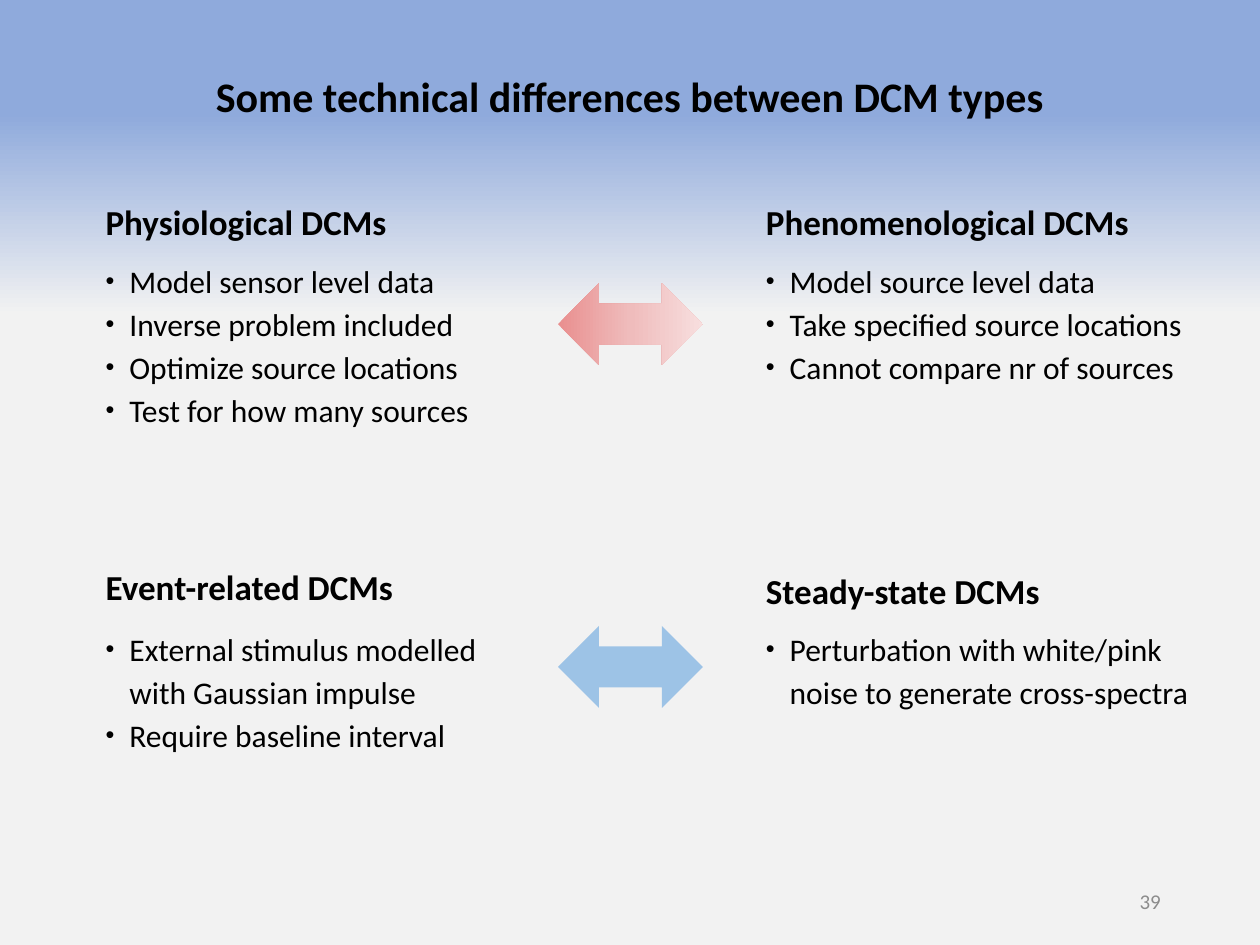
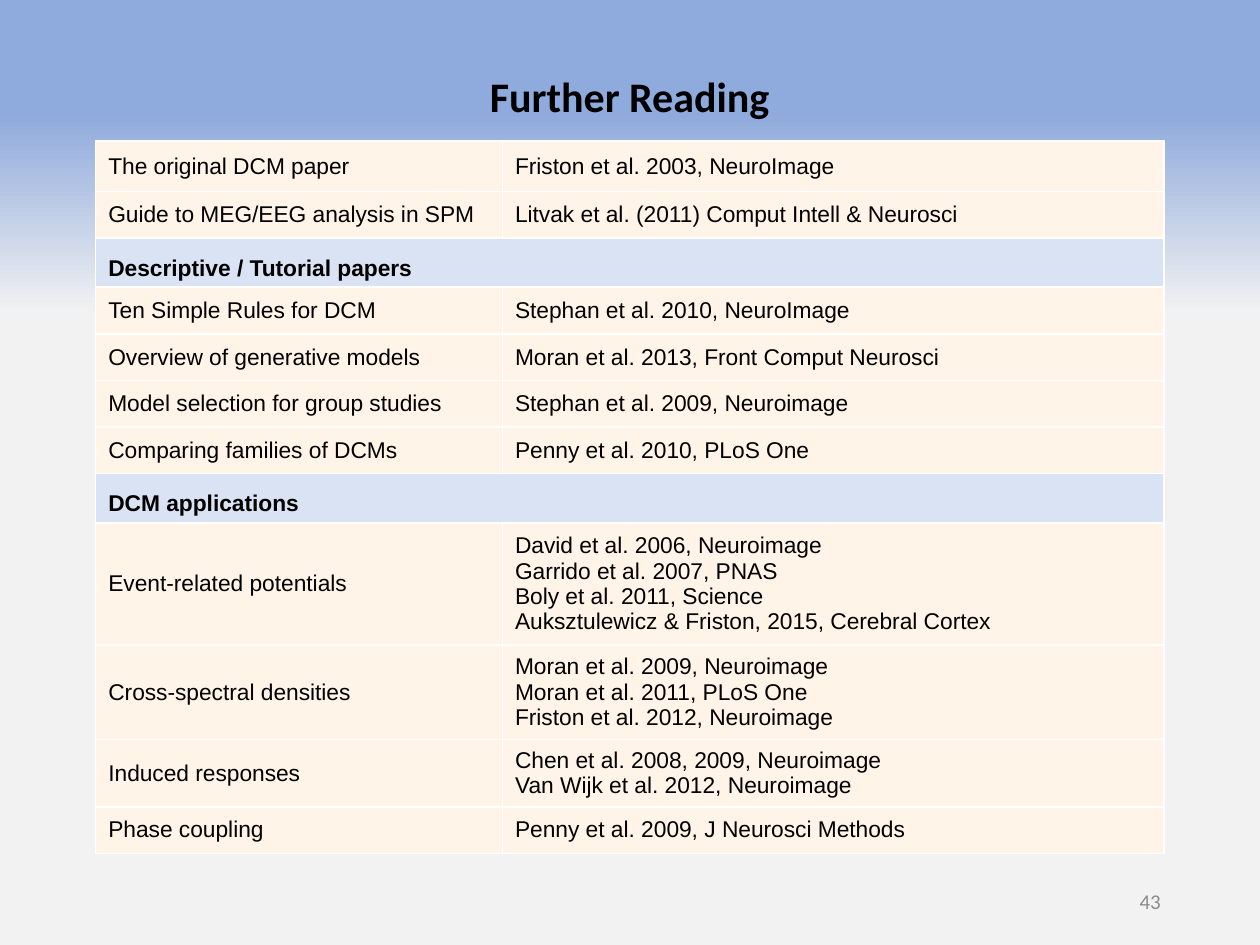
from copy import deepcopy

from pptx import Presentation
from pptx.dml.color import RGBColor
from pptx.enum.shapes import MSO_SHAPE as Preset
from pptx.enum.text import MSO_ANCHOR as Anchor, MSO_AUTO_SIZE as AutoSize, PP_ALIGN as Align
from pptx.oxml import parse_xml
from pptx.oxml.ns import nsdecls, qn
from pptx.util import Cm, Pt

# Colours
BLACK = RGBColor(0x00, 0x00, 0x00)
GREY = RGBColor(0x8C, 0x8C, 0x8C)
PAGE = RGBColor(0xF2, 0xF2, 0xF2)
BAND_BLUE = RGBColor(0x8F, 0xAA, 0xDC)
ARROW_BLUE = RGBColor(0x9D, 0xC3, 0xE6)
RED = RGBColor(0xE9, 0x8F, 0x8F)
PINK = RGBColor(0xEF, 0xBC, 0xBC)
PALE_PINK = RGBColor(0xF7, 0xDE, 0xDE)
CREAM = RGBColor(0xFF, 0xF4, 0xE7)
PALE_BLUE = RGBColor(0xDA, 0xE3, 0xF3)

# Text formats
TITLE = dict(name="Calibri", size=Pt(24), bold=True)
HEADING = dict(name="Calibri", size=Pt(20), bold=True)
BODY = dict(name="Calibri", size=Pt(18), bold=False)
NUMBER = dict(name="Calibri", size=Pt(12), bold=False)
CELL = dict(name="Arial", size=Pt(13), bold=False)
SECTION = dict(CELL, bold=True)

SLIDE_WIDTH, SLIDE_HEIGHT = Cm(25.4), Cm(19.05)
LEFT_COLUMN, RIGHT_COLUMN = 1.88, 15.19
BULLET_INDENT = Cm(0.48)

# Each group: heading, left, heading top, list top, list width, items
GROUPS = [
    ("Physiological DCMs", LEFT_COLUMN, 3.91, 5.05, 9.19,
     ["Model sensor level data", "Inverse problem included",
      "Optimize source locations", "Test for how many sources"]),
    ("Phenomenological DCMs", RIGHT_COLUMN, 3.91, 5.05, 10.11,
     ["Model source level data", "Take specified source locations",
      "Cannot compare nr of sources"]),
    ("Event-related DCMs", LEFT_COLUMN, 11.28, 12.47, 9.19,
     ["External stimulus modelled with Gaussian impulse",
      "Require baseline interval"]),
    ("Steady-state DCMs", RIGHT_COLUMN, 11.35, 12.47, 9.6,
     ["Perturbation with white/pink noise to generate cross-spectra"]),
]

# Each row: topic and its papers; a row without papers is a section heading
READING = [
    ("The original DCM paper", ["Friston et al. 2003, NeuroImage"]),
    ("Guide to MEG/EEG analysis in SPM",
     ["Litvak et al. (2011) Comput Intell & Neurosci"]),
    ("Descriptive / Tutorial papers", []),
    ("Ten Simple Rules for DCM", ["Stephan et al. 2010, NeuroImage"]),
    ("Overview of generative models", ["Moran et al. 2013, Front Comput Neurosci"]),
    ("Model selection for group studies", ["Stephan et al. 2009, Neuroimage"]),
    ("Comparing families of DCMs", ["Penny et al. 2010, PLoS One"]),
    ("DCM applications", []),
    ("Event-related potentials",
     ["David et al. 2006, Neuroimage", "Garrido et al. 2007, PNAS",
      "Boly et al. 2011, Science",
      "Auksztulewicz & Friston, 2015, Cerebral Cortex"]),
    ("Cross-spectral densities",
     ["Moran et al. 2009, Neuroimage", "Moran et al. 2011, PLoS One",
      "Friston et al. 2012, Neuroimage"]),
    ("Induced responses",
     ["Chen et al. 2008, 2009, Neuroimage", "Van Wijk et al. 2012, Neuroimage"]),
    ("Phase coupling", ["Penny et al. 2009, J Neurosci Methods"]),
]
COLUMN_WIDTHS = [8.2, 13.34]
FIRST_ROW, SECTION_ROW, PLAIN_ROW = 1.02, 0.99, 0.94
LINE_HEIGHT, CELL_PADDING = 0.53, 0.25


def format_paragraph(paragraph, font_format, color=BLACK):
    for attribute, value in font_format.items():
        setattr(paragraph.font, attribute, value)
    paragraph.font.color.rgb = color


def fill_gradient(shape, stops, angle):
    """Fill with (position, colour) stops."""
    shape.fill.gradient()
    stop_list = shape._element.spPr.find(".//" + qn("a:gsLst"))
    for _ in stops[2:]:
        stop_list.append(deepcopy(stop_list[0]))
    for stop, (position, color) in zip(shape.fill.gradient_stops, stops):
        stop.position = position
        stop.color.rgb = color
    shape.fill.gradient_angle = angle


def add_preset(slide, preset, left, top, width, height):
    shape = slide.shapes.add_shape(preset, left, top, width, height)
    shape.shadow.inherit = False
    shape.line.fill.background()
    return shape


def add_arrow(slide, top):
    return add_preset(slide, Preset.LEFT_RIGHT_ARROW,
                      Cm(11.25), Cm(top), Cm(2.92), Cm(1.65))


def add_text(slide, left, top, width, height, lines, font_format, color=BLACK, bullets=False):
    box = slide.shapes.add_textbox(Cm(left), Cm(top), Cm(width), Cm(height))
    frame = box.text_frame
    frame.word_wrap = True
    frame.text = "\n".join(lines)
    for paragraph in frame.paragraphs:
        if bullets:
            add_bullet(paragraph)
        format_paragraph(paragraph, font_format, color)
    return frame


def add_bullet(paragraph):
    paragraph.line_spacing = 1.14
    properties = paragraph._p.get_or_add_pPr()
    properties.set("marL", str(BULLET_INDENT))
    properties.set("indent", str(-BULLET_INDENT))
    for tag, attribute, value in [("buSzPct", "val", "80000"),
                                  ("buFont", "typeface", "Arial"),
                                  ("buChar", "char", "•")]:
        properties.append(parse_xml(f'<a:{tag} {nsdecls("a")} {attribute}="{value}"/>'))


def add_titled_slide(presentation, title_text, number):
    slide = presentation.slides.add_slide(presentation.slide_layouts[5])

    # Shaded band behind everything else
    band = add_preset(slide, Preset.RECTANGLE, 0, 0, SLIDE_WIDTH, Cm(6.35))
    fill_gradient(band, [(0.36, BAND_BLUE), (1, PAGE)], 270)
    slide.shapes._spTree.insert(2, band._element)

    # Title
    title = slide.shapes.title
    title.left, title.top, title.width, title.height = Cm(0.91), Cm(0.99), Cm(23.57), Cm(2.01)
    frame = title.text_frame
    frame.text = title_text
    frame.auto_size = AutoSize.NONE
    frame.vertical_anchor = Anchor.MIDDLE
    paragraph = frame.paragraphs[0]
    paragraph.alignment = Align.CENTER
    paragraph.line_spacing = 0.9
    format_paragraph(paragraph, TITLE)

    # Slide number
    frame = add_text(slide, 17.93, 17.65, 5.72, 1.02, [number], NUMBER, GREY)
    frame.vertical_anchor = Anchor.MIDDLE
    frame.paragraphs[0].alignment = Align.RIGHT
    return slide


def set_cell(cell, lines, font_format, fill, anchor):
    properties = cell._tc.get_or_add_tcPr()
    for side in ("lnL", "lnR", "lnT", "lnB"):
        properties.append(parse_xml(
            f'<a:{side} {nsdecls("a")} w="12700"><a:solidFill>'
            f'<a:srgbClr val="FFFFFF"/></a:solidFill></a:{side}>'))
    cell.fill.solid()
    cell.fill.fore_color.rgb = fill
    cell.vertical_anchor = anchor
    cell.text = "\n".join(lines)
    for paragraph in cell.text_frame.paragraphs:
        format_paragraph(paragraph, font_format)


def row_height(index, papers):
    if index == 0:
        return FIRST_ROW
    if not papers:
        return SECTION_ROW
    return max(PLAIN_ROW, len(papers) * LINE_HEIGHT + CELL_PADDING)


def add_reading_table(slide):
    heights = [row_height(index, papers) for index, (_, papers) in enumerate(READING)]
    table = slide.shapes.add_table(len(READING), 2, Cm(1.93), Cm(2.84),
                                   Cm(sum(COLUMN_WIDTHS)), Cm(sum(heights))).table
    table.first_row = table.horz_banding = False
    for column, width in zip(table.columns, COLUMN_WIDTHS):
        column.width = Cm(width)
    for index, (topic, papers) in enumerate(READING):
        table.rows[index].height = Cm(heights[index])
        topic_cell, papers_cell = table.cell(index, 0), table.cell(index, 1)
        if papers:
            set_cell(topic_cell, [topic], CELL, CREAM, Anchor.MIDDLE)
            set_cell(papers_cell, papers, CELL, CREAM, Anchor.MIDDLE)
        else:
            topic_cell.merge(papers_cell)
            set_cell(topic_cell, [topic], SECTION, PALE_BLUE, Anchor.BOTTOM)
            set_cell(papers_cell, [], SECTION, PALE_BLUE, Anchor.BOTTOM)


def main():
    presentation = Presentation()
    presentation.slide_width, presentation.slide_height = SLIDE_WIDTH, SLIDE_HEIGHT
    background = presentation.slide_master.background.fill
    background.solid()
    background.fore_color.rgb = PAGE

    # Differences between DCM types
    slide = add_titled_slide(presentation, "Some technical differences between DCM types", "39")
    for heading, left, heading_top, list_top, width, items in GROUPS:
        add_text(slide, left, heading_top, 7.87, 1.12, [heading], HEADING)
        add_text(slide, left, list_top, width, 0.9 * len(items) + 0.9, items, BODY, bullets=True)
    fill_gradient(add_arrow(slide, 5.71), [(0, RED), (0.5, PINK), (1, PALE_PINK)], 0)
    blue_arrow = add_arrow(slide, 12.62)
    blue_arrow.fill.solid()
    blue_arrow.fill.fore_color.rgb = ARROW_BLUE

    # Further reading
    slide = add_titled_slide(presentation, "Further Reading", "43")
    add_reading_table(slide)

    presentation.save("out.pptx")


if __name__ == "__main__":
    main()
